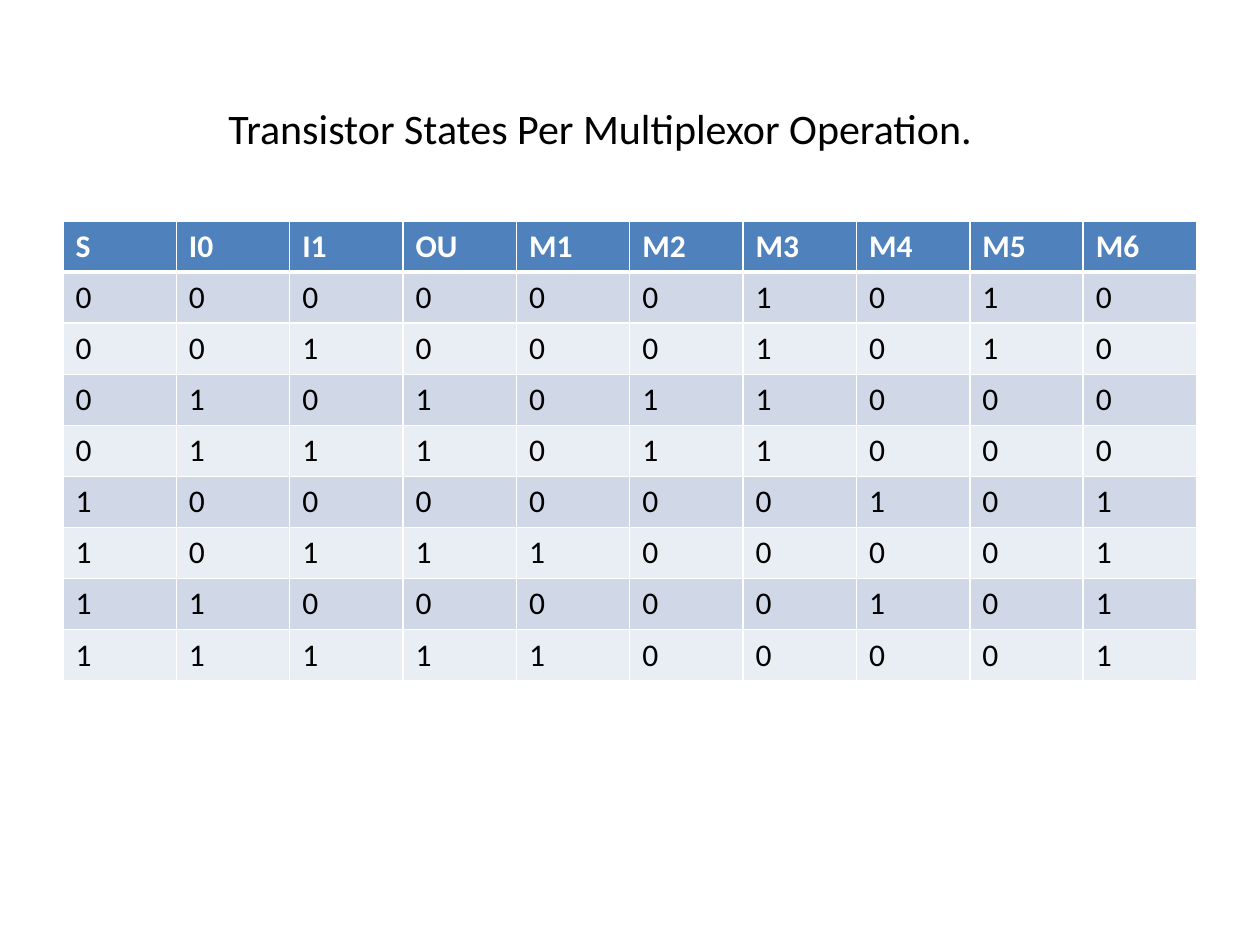
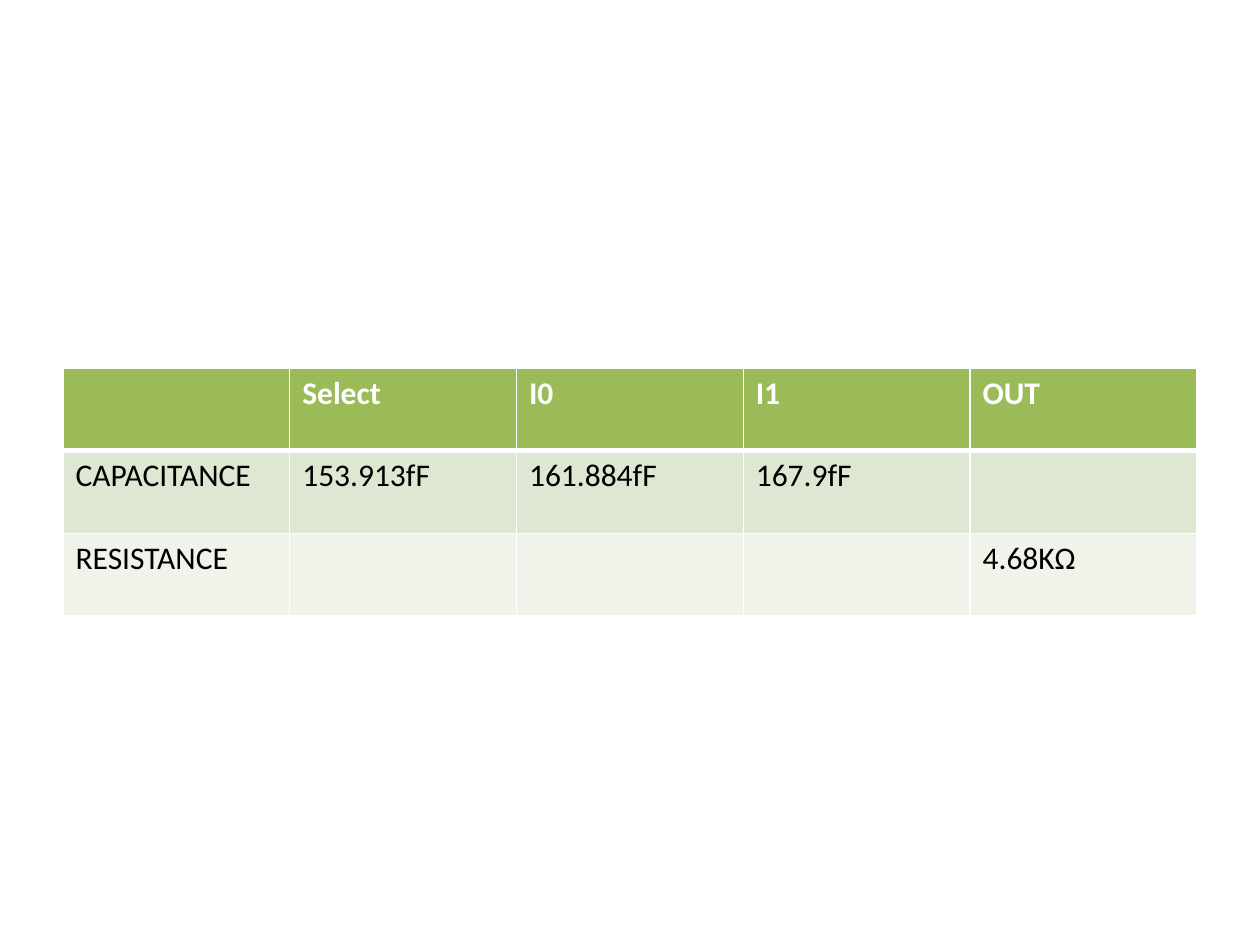
import pptx
import pptx.util
import pptx.dml.color
import pptx.enum.text
import lxml.etree
from pptx.oxml.ns import qn

RGB = pptx.dml.color.RGBColor
WHITE = RGB(0xFF, 0xFF, 0xFF)
BLACK = RGB(0x00, 0x00, 0x00)
# Header fill, then the two alternating body fills
BLUE = (RGB(0x4F, 0x81, 0xBD), RGB(0xD0, 0xD8, 0xE8), RGB(0xE9, 0xED, 0xF4))
GREEN = (RGB(0x9B, 0xBB, 0x59), RGB(0xDE, 0xE7, 0xD1), RGB(0xEF, 0xF3, 0xEA))
FONT = "Calibri"
PIXEL = 914400 // 126
TABLE_LEFT, TABLE_WIDTH = 63, 1134

# Content
TITLE = "Transistor States Per Multiplexor Operation. "
TRANSISTOR_STATES = [
    ["S", "I0", "I1", "OU", "M1", "M2", "M3", "M4", "M5", "M6"],
    *map(list, ["0000001010", "0010001010", "0101011000", "0111011000",
                "1000000101", "1011100001", "1100000101", "1111100001"]),
]
LOADS = [
    ["", "Select", "I0", "I1", "OUT"],
    ["CAPACITANCE", "153.913fF", "161.884fF", "167.9fF", ""],
    ["RESISTANCE", "", "", "", "4.68KΩ"],
]


def px(pixels):
    return pptx.util.Emu(round(pixels * PIXEL))


def style_text(paragraph, size, color, bold=False):
    for run in paragraph.runs:
        font = run.font
        font.name, font.size, font.bold = FONT, pptx.util.Pt(size), bold
        font.color.rgb = color


def add_borders(cell, row):
    """White rules, with a thick one under the header row."""
    properties = cell._tc.get_or_add_tcPr()
    widths = {"lnL": 1, "lnR": 1, "lnT": 3 if row == 1 else 1, "lnB": 3 if row == 0 else 1}
    for side, points in widths.items():
        line = lxml.etree.SubElement(properties, qn("a:" + side), w=str(pptx.util.Pt(points)))
        fill = lxml.etree.SubElement(line, qn("a:solidFill"))
        lxml.etree.SubElement(fill, qn("a:srgbClr"), val=str(WHITE))


def add_banded_table(slide, rows, top, height, fills):
    header_fill, *band_fills = fills
    table = slide.shapes.add_table(len(rows), len(rows[0]), px(TABLE_LEFT), px(top),
                                   px(TABLE_WIDTH), px(height)).table
    for column in table.columns:
        column.width = px(TABLE_WIDTH / len(rows[0]))
    for r, values in enumerate(rows):
        table.rows[r].height = px(height / len(rows))
        for c, value in enumerate(values):
            cell = table.cell(r, c)
            add_borders(cell, r)
            cell.fill.solid()
            cell.fill.fore_color.rgb = band_fills[(r - 1) % 2] if r else header_fill
            if value:
                cell.text_frame.text = value
                style_text(cell.text_frame.paragraphs[0], 18, BLACK if r else WHITE, r == 0)


presentation = pptx.Presentation()
presentation.slide_width, presentation.slide_height = px(1260), px(945)
blank = presentation.slide_layouts[6]

# Slide 1: transistor states
states_slide = presentation.slides.add_slide(blank)
add_banded_table(states_slide, TRANSISTOR_STATES, 221, 460, BLUE)
title = states_slide.shapes.add_textbox(px(100), px(96), px(1010), px(63)).text_frame
title.word_wrap = True
title.auto_size = pptx.enum.text.MSO_AUTO_SIZE.SHAPE_TO_FIT_TEXT
title.text = TITLE
title.paragraphs[0].alignment = pptx.enum.text.PP_ALIGN.CENTER
style_text(title.paragraphs[0], 24, BLACK)

# Slide 2: capacitance and resistance
loads_slide = presentation.slides.add_slide(blank)
add_banded_table(loads_slide, LOADS, 368, 248, GREEN)

presentation.save("out.pptx")
